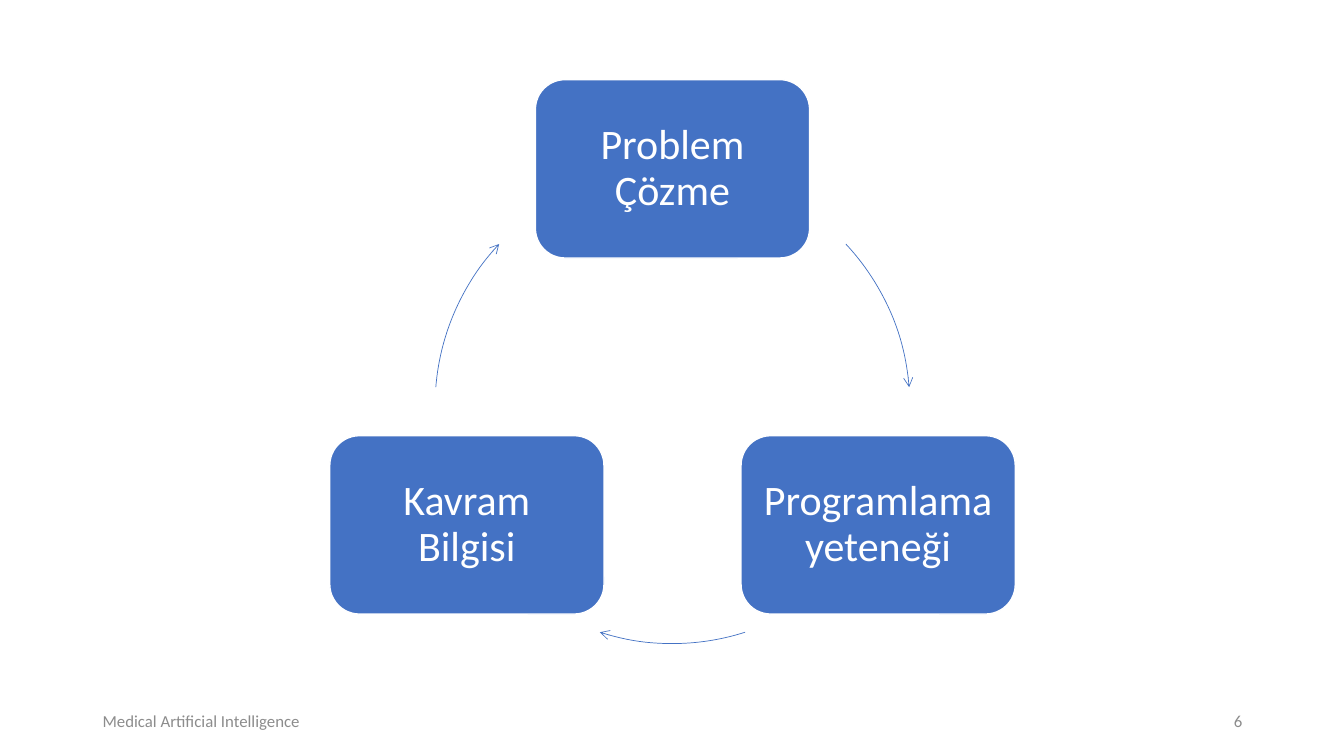
from dataclasses import dataclass
from math import cos, radians, sin

from lxml.etree import SubElement
from pptx import Presentation
from pptx.dml.color import RGBColor as Rgb
from pptx.enum.shapes import MSO_SHAPE as Shape
from pptx.enum.text import MSO_ANCHOR as Anchor, PP_ALIGN as Align
from pptx.oxml.ns import qn
from pptx.util import Inches, Pt


@dataclass(frozen=True)
class Theme:
    font: str = "Calibri"
    blue: Rgb = Rgb(0x44, 0x72, 0xC4)
    white: Rgb = Rgb(0xFF, 0xFF, 0xFF)
    gray: Rgb = Rgb(0x8C, 0x8C, 0x8C)
    body: int = 30
    small: int = 12


@dataclass(frozen=True)
class Node:
    text: str
    angle: float  # degrees clockwise from the right


@dataclass(frozen=True)
class Arc:
    start: float
    end: float


@dataclass(frozen=True)
class Note:
    text: str
    left: float
    align: Align


THEME = Theme()
MID_X, MID_Y, RADIUS = 6.67, 4.03, 2.355
BOX_W, BOX_H = 2.72, 1.77

NODES = [
    Node("Problem Çözme", -90),
    Node("Programlama yeteneği", 30),
    Node("Kavram Bilgisi", 150),
]
ARCS = [Arc(316.9, 355.4), Arc(72.2, 107.8), Arc(184.6, 223.1)]
NOTES = [
    Note("Medical Artificial Intelligence", 0.92, Align.LEFT),
    Note("6", 9.42, Align.RIGHT),
]


def write(shape, text: str, *, size: int, color: Rgb, align: Align,
          space: float = 1.0, inset: float | None = None) -> None:
    frame = shape.text_frame
    frame.word_wrap = True
    frame.vertical_anchor = Anchor.MIDDLE
    if inset is not None:
        frame.margin_left = frame.margin_right = Inches(inset)
        frame.margin_top = frame.margin_bottom = Inches(inset)
    para = frame.paragraphs[0]
    para.alignment = align
    para.line_spacing = space
    run = para.add_run()
    run.text = text
    run.font.name = THEME.font
    run.font.size = Pt(size)
    run.font.color.rgb = color


def add_mid(slide, kind: Shape, x: float, y: float, w: float, h: float):
    """Add a preset shape centred on x, y."""
    shape = slide.shapes.add_shape(
        kind, Inches(x - w / 2), Inches(y - h / 2), Inches(w), Inches(h))
    shape.shadow.inherit = False
    return shape


def draw_node(slide, node: Node) -> None:
    turn = radians(node.angle)
    box = add_mid(slide, Shape.ROUNDED_RECTANGLE, MID_X + RADIUS * cos(turn),
                  MID_Y + RADIUS * sin(turn), BOX_W, BOX_H)
    box.fill.solid()
    box.fill.fore_color.rgb = THEME.blue
    box.line.color.rgb = THEME.white
    box.line.width = Pt(1)
    write(box, node.text, size=THEME.body, color=THEME.white,
          align=Align.CENTER, space=0.9, inset=0.12)


def draw_arc(slide, arc: Arc) -> None:
    curve = add_mid(slide, Shape.ARC, MID_X, MID_Y, 2 * RADIUS, 2 * RADIUS)
    # Arc angles are stored in 60000ths, adjustments in 100000ths
    curve.adjustments[0] = arc.start * 0.6
    curve.adjustments[1] = arc.end * 0.6
    curve.fill.background()
    curve.line.color.rgb = THEME.blue
    curve.line.width = Pt(0.5)
    SubElement(curve.line._get_or_add_ln(), qn("a:tailEnd"), type="arrow")


def draw_note(slide, note: Note) -> None:
    box = slide.shapes.add_textbox(
        Inches(note.left), Inches(6.95), Inches(3), Inches(0.4))
    write(box, note.text, size=THEME.small, color=THEME.gray, align=note.align)


def main() -> None:
    deck = Presentation()
    deck.slide_width, deck.slide_height = Inches(13.33), Inches(7.5)
    slide = deck.slides.add_slide(deck.slide_layouts[6])

    # Footer and page number
    for note in NOTES:
        draw_note(slide, note)

    # Cycle: each box with the arrow to the next
    for node, arc in zip(NODES, ARCS):
        draw_node(slide, node)
        draw_arc(slide, arc)

    deck.save("out.pptx")


main()
